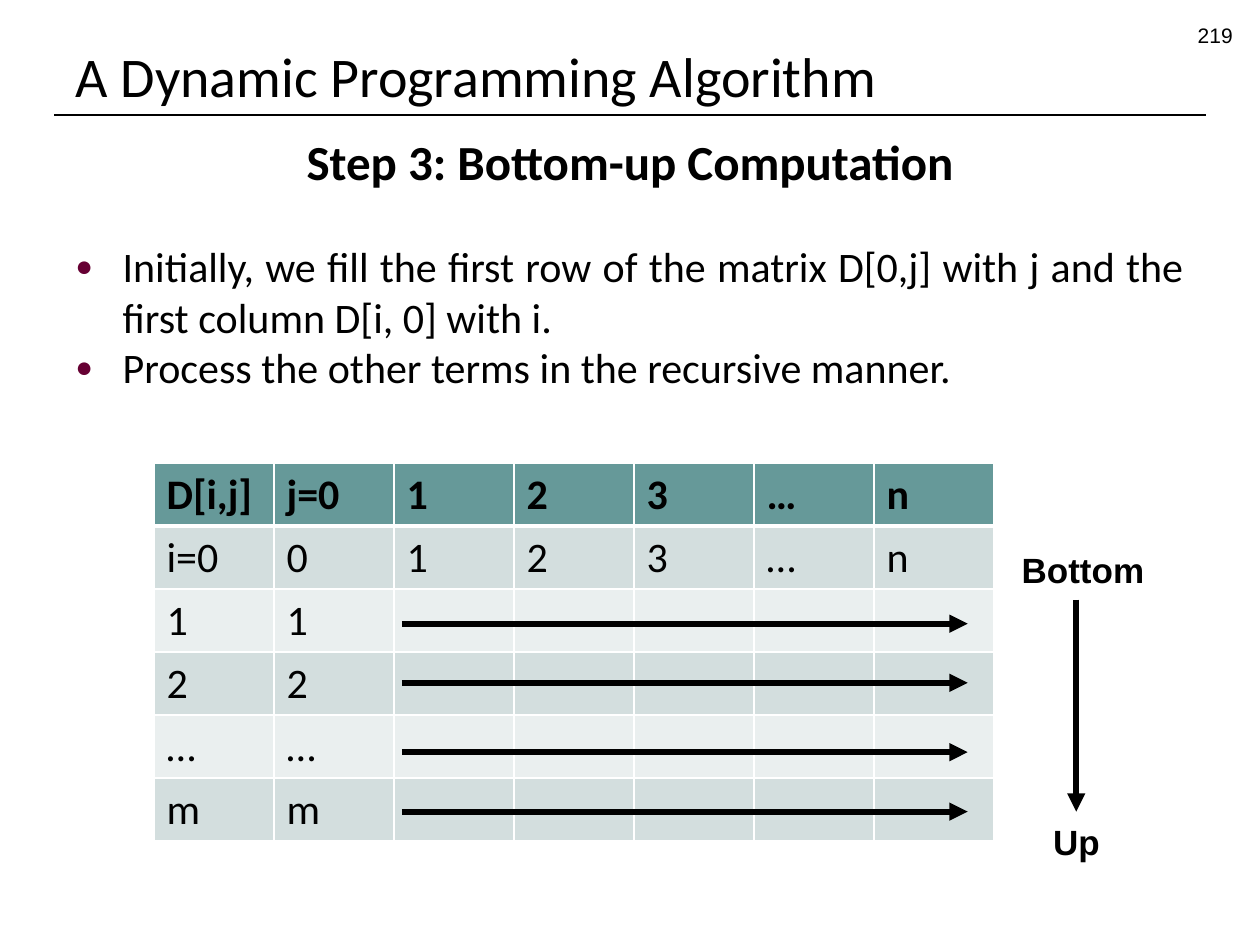
from pptx import Presentation
from pptx.dml.color import RGBColor
from pptx.enum.shapes import MSO_CONNECTOR
from pptx.enum.text import MSO_ANCHOR, PP_ALIGN
from pptx.oxml import parse_xml
from pptx.oxml.ns import nsdecls
from pptx.util import Pt


def paint(code):
    return RGBColor.from_string(code)


def node(tag, attrs="", inner=""):
    return parse_xml(f'<a:{tag} {nsdecls("a")} {attrs}>{inner}</a:{tag}>')


def write(par, text, font="Calibri", size=24, bold=False, color="000000",
          align=PP_ALIGN.LEFT, before=0):
    par.alignment = align
    par.space_before = Pt(before)
    run = par.add_run()
    run.text = text
    run.font.name = font
    run.font.size = Pt(size)
    run.font.bold = bold
    run.font.color.rgb = paint(color)


class Deck:
    ink = "000000"
    head = "669999"
    bands = ("D3DEDE", "EAEFEF")
    dot = "660033"

    def __init__(self):
        self.file = Presentation()
        self.file.slide_width, self.file.slide_height = Pt(720), Pt(540)
        self.slide = self.file.slides.add_slide(self.file.slide_layouts[5])

    def title(self, text, left, top, width, height):
        shape = self.slide.shapes.title
        shape.left, shape.top = Pt(left), Pt(top)
        shape.width, shape.height = Pt(width), Pt(height)
        shape.text_frame.vertical_anchor = MSO_ANCHOR.BOTTOM
        write(shape.text_frame.paragraphs[0], text, size=32)

    def box(self, left, top, width, height):
        shape = self.slide.shapes.add_textbox(Pt(left), Pt(top), Pt(width), Pt(height))
        shape.text_frame.word_wrap = True
        return shape.text_frame

    def label(self, text, left, top, width, height, **style):
        frame = self.box(left, top, width, height)
        write(frame.paragraphs[0], text, font="Arial", **style)

    def bullet(self, frame, text, before=0):
        par = frame.add_paragraph()
        props = par._p.get_or_add_pPr()
        props.set("marL", str(Pt(27)))
        props.set("indent", str(Pt(-27)))
        props.append(node("buClr", inner=f'<a:srgbClr val="{self.dot}"/>'))
        props.append(node("buSzPct", 'val="70000"'))
        props.append(node("buFont", 'typeface="Arial"'))
        props.append(node("buChar", 'char="●"'))
        write(par, text, align=PP_ALIGN.JUSTIFY, before=before)

    def line(self, start, end, width=3.5, arrow=True):
        points = [Pt(value) for value in (*start, *end)]
        shape = self.slide.shapes.add_connector(MSO_CONNECTOR.STRAIGHT, *points)
        shape.line.color.rgb = paint(self.ink)
        shape.line.width = Pt(width)
        if arrow:
            shape.line._get_or_add_ln().append(node("tailEnd", 'type="triangle"'))
        shape._element.spPr.append(node("effectLst"))

    def border(self, cell, base):
        props = cell._tc.get_or_add_tcPr()
        fill = '<a:solidFill><a:srgbClr val="FFFFFF"/></a:solidFill>'
        sides = (("lnL", 1), ("lnR", 1), ("lnT", 1), ("lnB", base))
        for place, (tag, width) in enumerate(sides):
            props.insert(place, node(tag, f'w="{Pt(width)}"', fill))

    def table(self, rows, left, top, width, height):
        count = len(rows[0])
        grid = self.slide.shapes.add_table(
            len(rows), count, Pt(left), Pt(top), Pt(width), Pt(height)).table
        for col in grid.columns:
            col.width = Pt(width / count)
        for i, row in enumerate(rows):
            for j in range(count):
                cell = grid.cell(i, j)
                cell.fill.solid()
                cell.fill.fore_color.rgb = paint(self.bands[(i - 1) % 2] if i else self.head)
                self.border(cell, 1 if i else 3)
                if j < len(row):
                    write(cell.text_frame.paragraphs[0], row[j], bold=i == 0)


def main():
    deck = Deck()
    deck.line((31, 65.7), (689, 65.7), width=0.75, arrow=False)
    deck.title("A Dynamic Programming Algorithm", 36, 9.5, 648, 56)
    deck.label("219", 543.5, 9.5, 168, 20, size=12, align=PP_ALIGN.RIGHT)

    body = deck.box(36, 71.5, 648, 160)
    write(body.paragraphs[0], "Step 3: Bottom-up Computation",
          size=28, bold=True, align=PP_ALIGN.CENTER)
    deck.bullet(body, "Initially, we fill the first row of the matrix D[0,j] with j "
                      "and the first column D[i, 0] with i.", before=29)
    deck.bullet(body, "Process the other terms in the recursive manner.")

    steps = ["1", "2", "3", "…", "n"]
    rows = [["D[i,j]", "j=0"] + steps, ["i=0", "0"] + steps]
    rows += [[name, name] for name in ("1", "2", "…", "m")]
    deck.table(rows, 88, 264.5, 480, 216)

    for y in (356.4, 390.2, 429.8, 463.8):
        deck.line((229.7, y), (553, y))
    deck.line((615, 342.7), (615, 463.8))
    deck.label("Bottom", 576.7, 309.6, 98.6, 31.5, size=20, bold=True)
    deck.label("Up", 594.7, 465.1, 98.6, 31.5, size=20, bold=True)
    deck.file.save("out.pptx")


if __name__ == "__main__":
    main()
